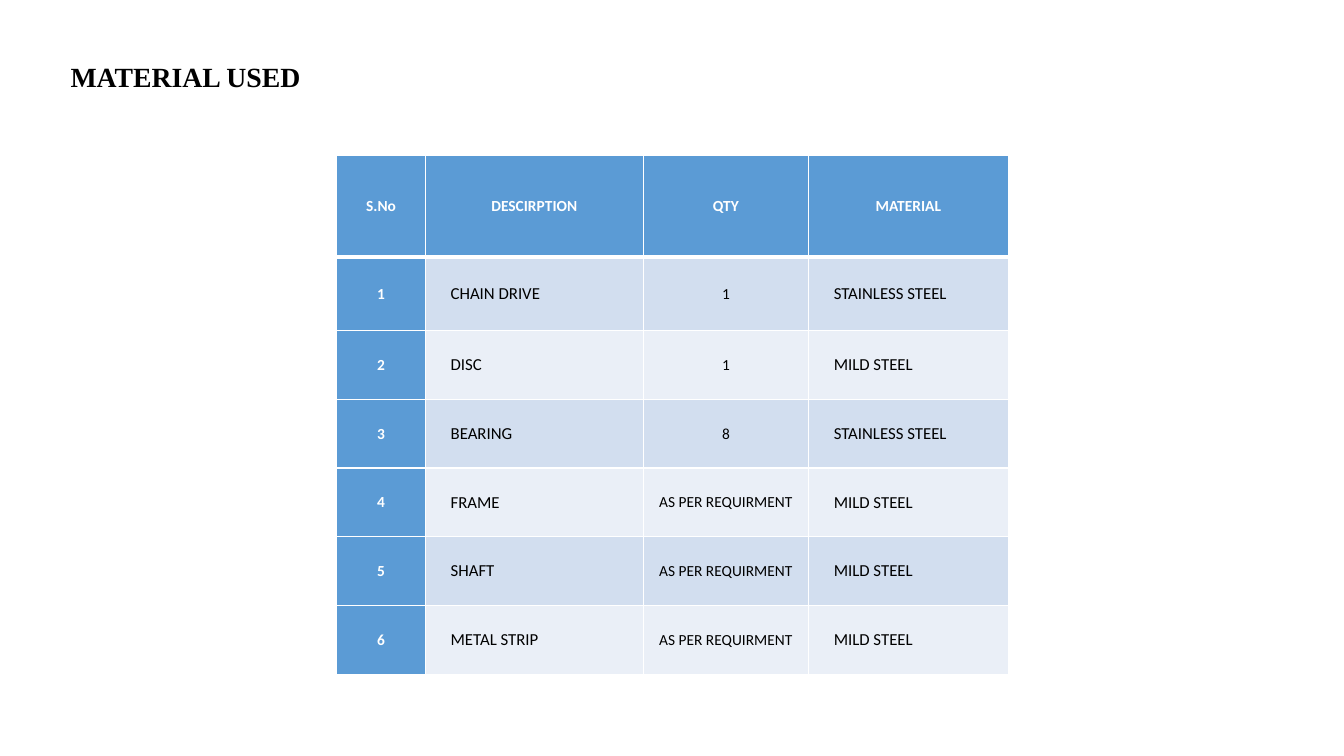
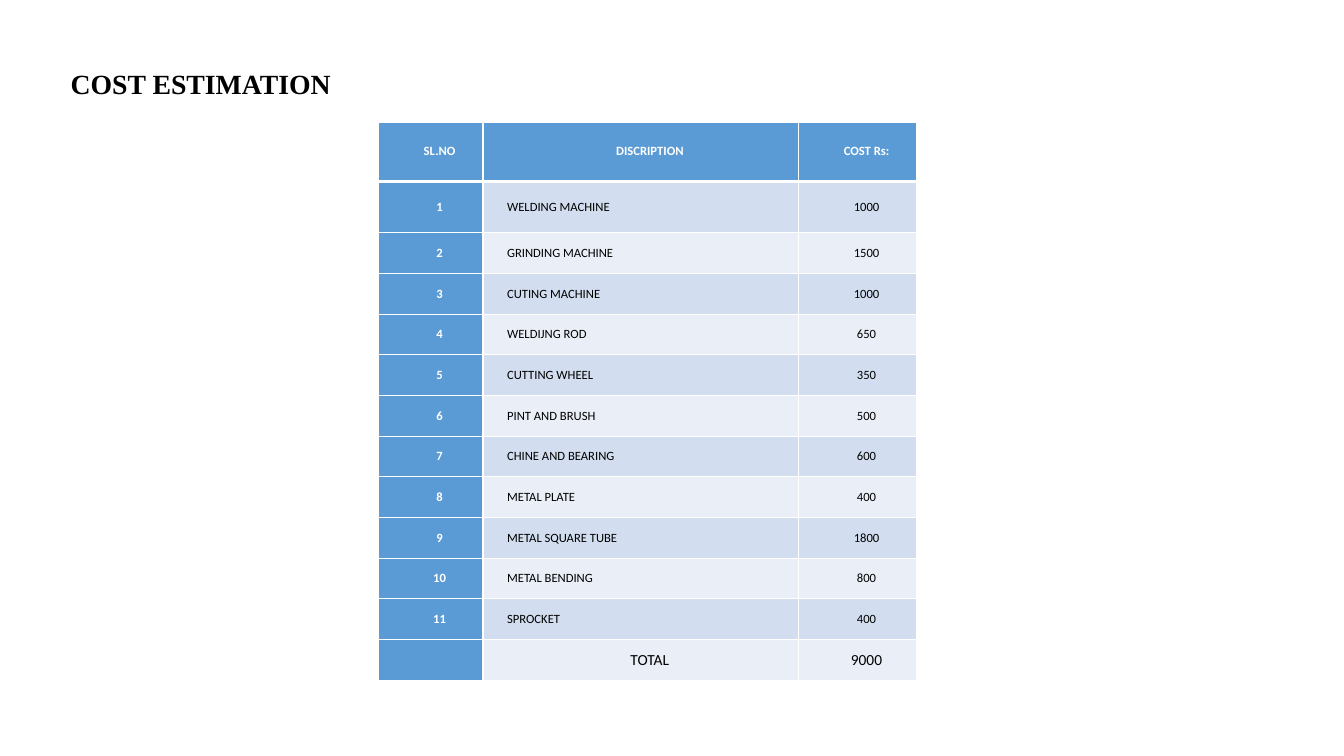
from dataclasses import dataclass

from lxml.etree import SubElement
from pptx import Presentation
from pptx.dml.color import RGBColor
from pptx.enum.text import MSO_ANCHOR, MSO_AUTO_SIZE, PP_ALIGN
from pptx.oxml.ns import qn
from pptx.util import Inches, Pt


@dataclass(frozen=True)
class Theme:
    black: str = "000000"
    white: str = "FFFFFF"
    accent: str = "5B9BD5"
    bands: tuple = ("D2DEEF", "EAEFF7")
    title_font: str = "Times New Roman"
    body_font: str = "Calibri"
    title_size: float = 19.8
    large: int = 12
    medium: int = 11
    small: int = 9
    thin_rule: int = 1
    thick_rule: int = 3


@dataclass(frozen=True)
class Column:
    width: float
    size: int
    align: PP_ALIGN = PP_ALIGN.CENTER
    indented: bool = False


THEME = Theme()

MATERIAL_COLUMNS = [
    Column(0.88, THEME.medium),
    Column(2.16, THEME.large, PP_ALIGN.JUSTIFY, True),
    Column(1.64, THEME.medium),
    Column(1.98, THEME.large, PP_ALIGN.JUSTIFY, True),
]
MATERIAL_HEADER = ["S.No", "DESCIRPTION", "QTY", "MATERIAL"]
MATERIALS = [
    ("CHAIN DRIVE", "1", "STAINLESS STEEL"),
    ("DISC", "1", "MILD STEEL"),
    ("BEARING", "8", "STAINLESS STEEL"),
    ("FRAME", "AS PER REQUIRMENT", "MILD STEEL"),
    ("SHAFT", "AS PER REQUIRMENT", "MILD STEEL"),
    ("METAL STRIP", "AS PER REQUIRMENT", "MILD STEEL"),
]

COST_COLUMNS = [
    Column(1.04, THEME.small, indented=True),
    Column(3.13, THEME.small, PP_ALIGN.LEFT, True),
    Column(1.17, THEME.small, indented=True),
]
COST_HEADER = ["SL.NO", "DISCRIPTION", "COST Rs:"]
COSTS = [
    ("WELDING MACHINE", "1000"),
    ("GRINDING MACHINE", "1500"),
    ("CUTING MACHINE", "1000"),
    ("WELDIJNG ROD", "650"),
    ("CUTTING WHEEL", "350"),
    ("PINT AND BRUSH", "500"),
    ("CHINE AND BEARING", "600"),
    ("METAL PLATE", "400"),
    ("METAL SQUARE TUBE", "1800"),
    ("METAL BENDING", "800"),
    ("SPROCKET", "400"),
]
COST_TOTAL = ["", "TOTAL", "9000"]


def write_text(frame, text, *, size, font=THEME.body_font, color=THEME.black,
               bold=False, align=PP_ALIGN.LEFT, indented=False, spacing=None):
    paragraph = frame.paragraphs[0]
    paragraph.alignment = align
    paragraph.line_spacing = spacing
    if indented:
        properties = paragraph._p.get_or_add_pPr()
        properties.set("marL", str(Inches(0.17)))
        properties.set("indent", str(Inches(0.01)))
    paragraph.font.size = Pt(size)
    if text:
        run = paragraph.add_run()
        run.text = text
        run.font.name = font
        run.font.size = Pt(size)
        run.font.bold = bold
        run.font.color.rgb = RGBColor.from_string(color)


def add_titled_slide(presentation, title, top):
    slide = presentation.slides.add_slide(presentation.slide_layouts[5])
    shape = slide.shapes.title
    shape.left, shape.top = Inches(0.6), Inches(top)
    shape.width, shape.height = Inches(11.5), Inches(0.41)
    frame = shape.text_frame
    frame.auto_size = MSO_AUTO_SIZE.NONE
    frame.word_wrap = True
    frame.vertical_anchor = MSO_ANCHOR.MIDDLE
    write_text(frame, title, size=THEME.title_size, font=THEME.title_font,
               bold=True, spacing=0.9)
    return slide


def set_borders(cell, top, bottom):
    properties = cell._tc.get_or_add_tcPr()
    widths = {"L": THEME.thin_rule, "R": THEME.thin_rule, "T": top, "B": bottom}
    for side, width in widths.items():
        line = SubElement(properties, qn(f"a:ln{side}"), w=str(Pt(width)))
        fill = SubElement(line, qn("a:solidFill"))
        SubElement(fill, qn("a:srgbClr"), val=THEME.white)


def style_cell(cell, row, is_accent, inset):
    cell.margin_left = cell.margin_right = Inches(inset)
    cell.margin_top = cell.margin_bottom = 0
    cell.vertical_anchor = MSO_ANCHOR.MIDDLE
    set_borders(cell,
                top=THEME.thick_rule if row == 1 else THEME.thin_rule,
                bottom=THEME.thick_rule if row == 0 else THEME.thin_rule)
    cell.fill.solid()
    color = THEME.accent if is_accent else THEME.bands[(row - 1) % 2]
    cell.fill.fore_color.rgb = RGBColor.from_string(color)


def add_table(slide, left, top, height, columns, rows, *, first_heights,
              header_size, header_indented, inset, has_total=False):
    width = sum(column.width for column in columns)
    table = slide.shapes.add_table(
        len(rows), len(columns), Inches(left), Inches(top),
        Inches(width), Inches(height)).table
    table.first_col = True
    for table_column, column in zip(table.columns, columns):
        table_column.width = Inches(column.width)
    remaining = len(rows) - len(first_heights)
    shared_height = (height - sum(first_heights)) / remaining
    heights = [*first_heights, *[shared_height] * remaining]
    for row, (texts, row_height) in enumerate(zip(rows, heights)):
        table.rows[row].height = Inches(row_height)
        is_header = row == 0
        is_total = has_total and row == len(rows) - 1
        for index, (text, column) in enumerate(zip(texts, columns)):
            cell = table.cell(row, index)
            is_accent = is_header or index == 0
            style_cell(cell, row, is_accent, inset)
            size = header_size if is_header else column.size
            write_text(
                cell.text_frame, text,
                size=THEME.medium if is_total else size,
                color=THEME.white if is_accent else THEME.black,
                bold=is_accent,
                align=PP_ALIGN.CENTER if is_header or is_total else column.align,
                indented=header_indented if is_header else column.indented)


def number_rows(items):
    return [[str(number), *item] for number, item in enumerate(items, 1)]


def main():
    presentation = Presentation()
    presentation.slide_width = Inches(13.33)
    presentation.slide_height = Inches(7.5)

    slide = add_titled_slide(presentation, "MATERIAL USED", 0.57)
    add_table(slide, 3.34, 1.54, 5.15, MATERIAL_COLUMNS,
              [MATERIAL_HEADER, *number_rows(MATERIALS)],
              first_heights=[1.01, 0.73], header_size=THEME.medium,
              header_indented=False, inset=0.07)

    slide = add_titled_slide(presentation, "COST ESTIMATION", 0.64)
    add_table(slide, 3.75, 1.21, 5.54, COST_COLUMNS,
              [COST_HEADER, *number_rows(COSTS), COST_TOTAL],
              first_heights=[0.59, 0.51], header_size=THEME.small,
              header_indented=True, inset=0.06, has_total=True)

    presentation.save("out.pptx")


if __name__ == "__main__":
    main()
